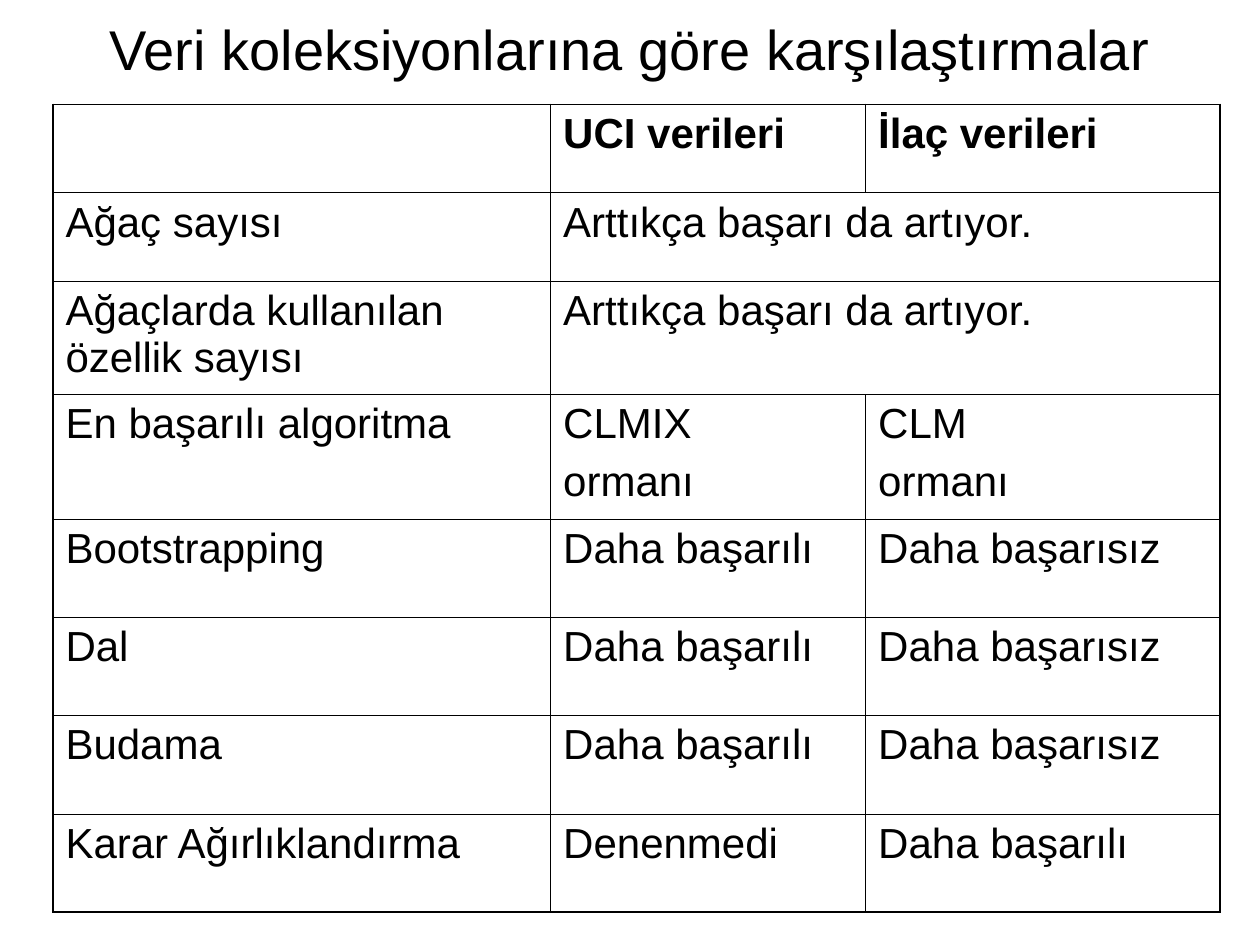
from dataclasses import dataclass

from lxml import etree
from pptx import Presentation
from pptx import util as u
from pptx.dml.color import RGBColor
from pptx.enum import text
from pptx.oxml import ns

COLORS = {"ink": "000000", "paper": "FFFFFF"}
WIDTH, HEIGHT = u.Inches(10), u.Inches(7.5)
THIN, THICK = 0.45, 1.08
COLUMNS = [3.95, 2.5, 2.81]
ROW_HEIGHTS = [0.7, 0.7, 0.9, 0.99] + [0.78] * 4


@dataclass
class Row:
    label: str
    values: list[str]  # a single value spans both data columns
    bold: bool = False


ROWS = [
    Row("", ["UCI verileri", "İlaç verileri"], bold=True),
    Row("Ağaç sayısı", ["Arttıkça başarı da artıyor."]),
    Row("Ağaçlarda kullanılan özellik sayısı", ["Arttıkça başarı da artıyor."]),
    Row("En başarılı algoritma", ["CLMIX\normanı", "CLM\normanı"]),
    *[Row(label, ["Daha başarılı", "Daha başarısız"])
      for label in ("Bootstrapping", "Dal", "Budama")],
    Row("Karar Ağırlıklandırma", ["Denenmedi", "Daha başarılı"]),
]


def write(frame, content: str, size: float, bold: bool = False,
          align=text.PP_ALIGN.LEFT) -> None:
    frame.word_wrap = True
    frame.text = content
    font_format = {"name": "Arial", "size": u.Pt(size), "bold": bold}
    for index, paragraph in enumerate(frame.paragraphs):
        paragraph.alignment = align
        paragraph.space_before = u.Pt(6 if index else 0)
        for name, value in font_format.items():
            setattr(paragraph.font, name, value)
        paragraph.font.color.rgb = RGBColor.from_string(COLORS["ink"])


def set_borders(cell, widths: dict[str, float]) -> None:
    properties = cell._tc.get_or_add_tcPr()
    for position, (side, width) in enumerate(widths.items()):
        line = etree.Element(ns.qn(f"a:ln{side}"), w=str(u.Pt(width)))
        fill = etree.SubElement(line, ns.qn("a:solidFill"))
        etree.SubElement(fill, ns.qn("a:srgbClr"), val=COLORS["ink"])
        properties.insert(position, line)


def add_title(slide, content: str) -> None:
    box = slide.shapes.add_textbox(int(WIDTH * 0.05), u.Inches(0.17),
                                   int(WIDTH * 0.9), u.Inches(0.42))
    box.text_frame.vertical_anchor = text.MSO_ANCHOR.MIDDLE
    write(box.text_frame, content, 32, align=text.PP_ALIGN.CENTER)


def add_comparison(slide, rows: list[Row]) -> None:
    table = slide.shapes.add_table(
        len(rows), len(COLUMNS), u.Inches(0.42), u.Inches(0.83),
        u.Inches(sum(COLUMNS)), u.Inches(sum(ROW_HEIGHTS))).table
    table.first_row = table.horz_banding = False
    for column, width in zip(table.columns, COLUMNS):
        column.width = u.Inches(width)
    last_row, last_column = len(rows) - 1, len(COLUMNS) - 1

    for r, row in enumerate(rows):
        table.rows[r].height = u.Inches(ROW_HEIGHTS[r])
        merged = len(row.values) == 1
        if merged:
            table.cell(r, 1).merge(table.cell(r, last_column))
        for c, content in enumerate([row.label, *row.values]):
            write(table.cell(r, c).text_frame, content, 24, row.bold)

        # Thick outer frame, thin inner grid
        for c in range(len(COLUMNS)):
            cell = table.cell(r, c)
            cell.margin_left = cell.margin_right = u.Inches(0.1)
            cell.margin_top = cell.margin_bottom = u.Inches(0.05)
            cell.fill.background()
            outer = {"L": c == 0, "R": c == last_column or (merged and c == 1),
                     "T": r == 0, "B": r == last_row}
            set_borders(cell, {side: THICK if edge else THIN
                               for side, edge in outer.items()})


def main() -> None:
    presentation = Presentation()
    presentation.slide_width, presentation.slide_height = WIDTH, HEIGHT
    slide = presentation.slides.add_slide(presentation.slide_layouts[6])
    slide.background.fill.solid()
    slide.background.fill.fore_color.rgb = RGBColor.from_string(COLORS["paper"])
    add_title(slide, "Veri koleksiyonlarına göre karşılaştırmalar")
    add_comparison(slide, ROWS)
    presentation.save("out.pptx")


if __name__ == "__main__":
    main()
